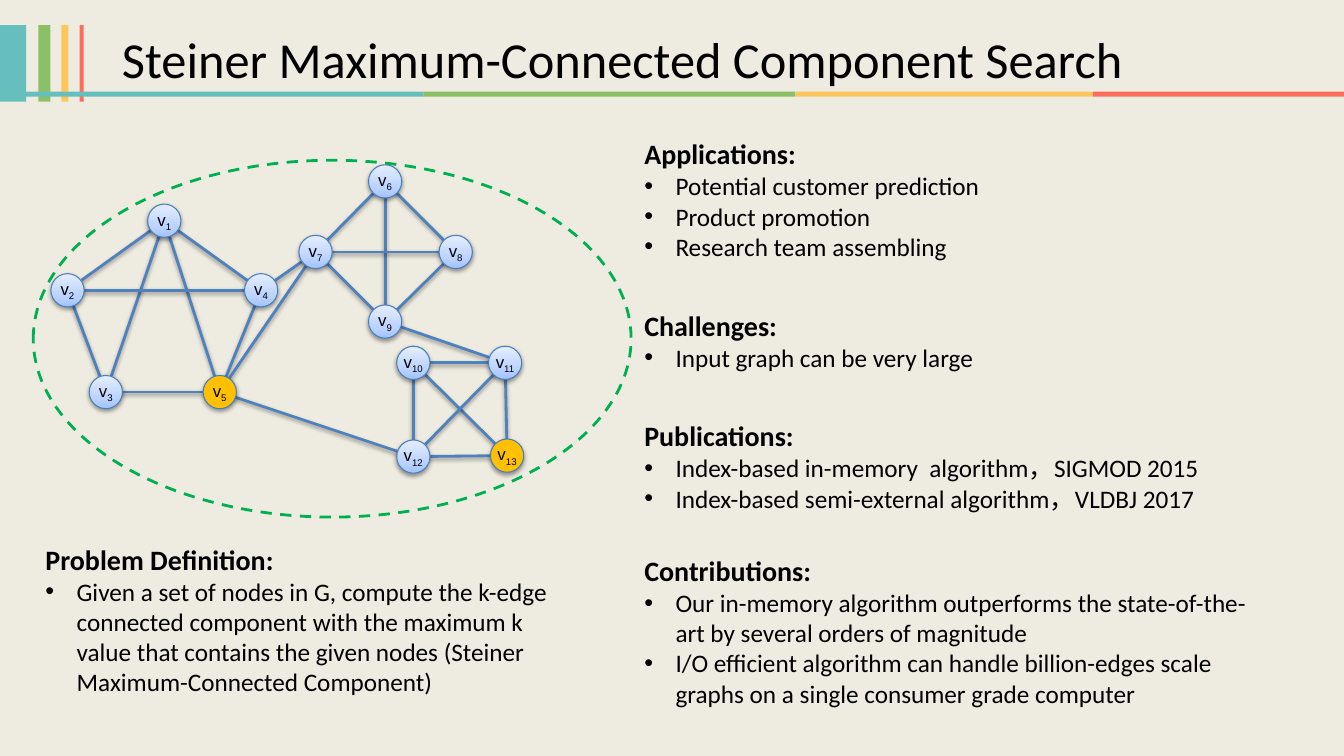
from dataclasses import dataclass
from itertools import pairwise

from lxml.etree import SubElement
from pptx import Presentation
from pptx.dml.color import RGBColor
from pptx.enum.dml import MSO_LINE_DASH_STYLE as Dash
from pptx.enum.shapes import MSO_CONNECTOR as Connector, MSO_SHAPE as Preset
from pptx.enum.text import MSO_ANCHOR as Anchor, PP_ALIGN as Align
from pptx.oxml.ns import qn
from pptx.util import Inches, Pt


@dataclass(frozen=True)
class Theme:
    background: str = "EEECE1"
    ink: str = "000000"
    stripes: tuple = ("66BFBC", "8CC066", "FBC75D", "FC6E5B")
    edge: str = "4F81BD"
    node_outline: str = "4A7EBB"
    node_gradient: tuple = ((0, "A2C3FF"), (35, "BDD4FF"), (100, "E6EEFF"))
    query_node: str = "FFC000"
    component: str = "00B050"
    body_font: str = "Calibri"
    label_font: str = "Arial"
    title_size: int = 36
    heading_size: int = 20
    bullet_size: int = 18
    label_size: int = 12


def add_run(paragraph, text, *, size, color, font, bold=False, baseline=None):
    run = paragraph.add_run()
    run.text = text
    run.font.size = Pt(size)
    run.font.name = font
    run.font.bold = bold
    run.font.color.rgb = RGBColor.from_string(color)
    if baseline is not None:
        run.font._element.set("baseline", str(baseline * 1000))


def add_bullet(paragraph, indent=0.31):
    properties = paragraph._p.get_or_add_pPr()
    properties.set("marL", str(Inches(indent)))
    properties.set("indent", str(-Inches(indent)))
    SubElement(properties, qn("a:buFont"), typeface="Arial")
    SubElement(properties, qn("a:buChar"), char="•")


def add_soft_shadow(shape):
    properties = shape._element.spPr
    effects = properties.find(qn("a:effectLst"))
    if effects is None:
        effects = SubElement(properties, qn("a:effectLst"))
    shadow = SubElement(effects, qn("a:outerShdw"), blurRad=str(Pt(3)),
                        dist=str(Pt(1.6)), dir="5400000", rotWithShape="0")
    color = SubElement(shadow, qn("a:srgbClr"), val="000000")
    SubElement(color, qn("a:alpha"), val="38000")


class SlideBuilder:
    """Draws on a grid whose columns and rows are a tenth of an inch."""

    def __init__(self, slide, theme):
        self.slide, self.theme = slide, theme
        background = slide.background.fill
        background.solid()
        background.fore_color.rgb = RGBColor.from_string(theme.background)

    @staticmethod
    def cells(*counts):
        return [Inches(count / 10) for count in counts]

    def shape(self, preset, column, row, columns, rows, fill=None, line=None, width=1):
        shape = self.slide.shapes.add_shape(preset, *self.cells(column, row, columns, rows))
        shape.shadow.inherit = False
        if fill:
            shape.fill.solid()
            shape.fill.fore_color.rgb = RGBColor.from_string(fill)
        else:
            shape.fill.background()
        if line:
            shape.line.color.rgb = RGBColor.from_string(line)
            shape.line.width = Pt(width)
        else:
            shape.line.fill.background()
        return shape

    def text_box(self, column, row, columns, rows):
        box = self.slide.shapes.add_textbox(*self.cells(column, row, columns, rows))
        frame = box.text_frame
        frame.word_wrap = True
        frame.margin_left = frame.margin_right = Inches(0.05)
        frame.margin_top = frame.margin_bottom = Inches(0.05)
        return frame

    def title(self, text, *place):
        paragraph = self.text_box(*place).paragraphs[0]
        add_run(paragraph, text, size=self.theme.title_size,
                color=self.theme.ink, font=self.theme.body_font)

    def sections(self, sections, *place):
        frame, theme = self.text_box(*place), self.theme
        style = dict(color=theme.ink, font=theme.body_font)
        for index, (heading, gap, bullets) in enumerate(sections):
            paragraph = frame.add_paragraph() if index else frame.paragraphs[0]
            if gap:
                paragraph.space_before = Pt(gap)
            add_run(paragraph, heading, size=theme.heading_size, bold=True, **style)
            for bullet in bullets:
                paragraph = frame.add_paragraph()
                add_bullet(paragraph)
                add_run(paragraph, bullet, size=theme.bullet_size, **style)

    def edge(self, start, end):
        line = self.slide.shapes.add_connector(Connector.STRAIGHT, *self.cells(*start, *end))
        line.line.color.rgb = RGBColor.from_string(self.theme.edge)
        line.line.width = Pt(2)
        add_soft_shadow(line)

    def node(self, number, center, highlighted, diameter=3.3):
        theme = self.theme
        column, row = (position - diameter / 2 for position in center)
        node = self.shape(Preset.OVAL, column, row, diameter, diameter,
                          theme.query_node, theme.node_outline, 0.75)
        if not highlighted:
            node.fill.gradient()
            node.fill.gradient_angle = 90
            stops = node._element.spPr.find(".//" + qn("a:gsLst"))
            stops.clear()
            for position, color in theme.node_gradient:
                stop = SubElement(stops, qn("a:gs"), pos=str(position * 1000))
                SubElement(stop, qn("a:srgbClr"), val=color)
        add_soft_shadow(node)
        frame = node.text_frame
        frame.word_wrap = False
        frame.vertical_anchor = Anchor.MIDDLE
        frame.margin_left = frame.margin_right = frame.margin_top = frame.margin_bottom = 0
        paragraph = frame.paragraphs[0]
        paragraph.alignment = Align.CENTER
        style = dict(size=theme.label_size, color=theme.ink, font=theme.label_font)
        add_run(paragraph, "v", **style)
        add_run(paragraph, str(number), baseline=-25, **style)


STRIPES = ((0, 2.6), (3.8, 1.2), (6.1, 0.7), (7.9, 0.4))
RULE_STOPS = (0.1, 42, 78.9, 108.4, 133.3)

NODES = {
    1: (16.3, 21.9), 2: (6.7, 28.8), 3: (10.5, 38.9), 4: (25.9, 28.8), 5: (21.8, 38.9),
    6: (38.2, 18), 7: (31.3, 25), 8: (45.2, 25), 9: (38.2, 31.9),
    10: (41, 36), 11: (50.1, 36), 12: (41, 45.3), 13: (50.3, 45.2),
}
EDGES = (
    (1, 2), (1, 3), (1, 4), (1, 5), (2, 3), (2, 4), (3, 5), (4, 5),
    (4, 7), (5, 7), (5, 12), (9, 11),
    (6, 7), (6, 8), (6, 9), (7, 8), (7, 9), (8, 9),
    (10, 11), (10, 12), (10, 13), (11, 12), (11, 13), (12, 13),
)
QUERY_NODES = (5, 13)

# Each section: heading, space before in points, bullets
PROBLEM = (
    ("Problem Definition:", 0, (
        "Given a set of nodes in G, compute the k-edge connected component with the "
        "maximum k value that contains the given nodes (Steiner Maximum-Connected Component)",)),
)
OVERVIEW = (
    ("Applications:", 0, (
        "Potential customer prediction", "Product promotion", "Research team assembling")),
    ("Challenges:", 33.5, ("Input graph can be very large",)),
    ("Publications:", 33.5, (
        "Index-based in-memory  algorithm，SIGMOD 2015",
        "Index-based semi-external algorithm，VLDBJ 2017")),
    ("Contributions:", 29, (
        "Our in-memory algorithm outperforms the state-of-the-art by several orders of magnitude",
        "I/O efficient algorithm can handle billion-edges scale graphs on a single "
        "consumer grade computer")),
)


def main():
    presentation = Presentation()
    presentation.slide_width, presentation.slide_height = Inches(13.33), Inches(7.5)
    theme = Theme()
    builder = SlideBuilder(presentation.slides.add_slide(presentation.slide_layouts[6]), theme)

    # Header stripes, rule and title
    for (column, columns), color in zip(STRIPES, theme.stripes):
        builder.shape(Preset.RECTANGLE, column, 2.5, columns, 7.6, color)
    for (start, end), color in zip(pairwise(RULE_STOPS), theme.stripes):
        builder.shape(Preset.RECTANGLE, start, 9.1, end - start, 0.5, color)
    builder.title("Steiner Maximum-Connected Component Search", 11.6, 2.3, 111.2, 7.1)

    # Graph and the component around it
    for start, end in EDGES:
        builder.edge(NODES[start], NODES[end])
    for number, center in NODES.items():
        builder.node(number, center, number in QUERY_NODES)
    component = builder.shape(Preset.OVAL, 3.3, 15.9, 59.3, 35.4, line=theme.component, width=2)
    component.line.dash_style = Dash.DASH

    # Text sections
    builder.sections(PROBLEM, 4, 53.3, 52.1, 16.5)
    builder.sections(OVERVIEW, 63.4, 13.1, 60.8, 59)

    presentation.save("out.pptx")


if __name__ == "__main__":
    main()
